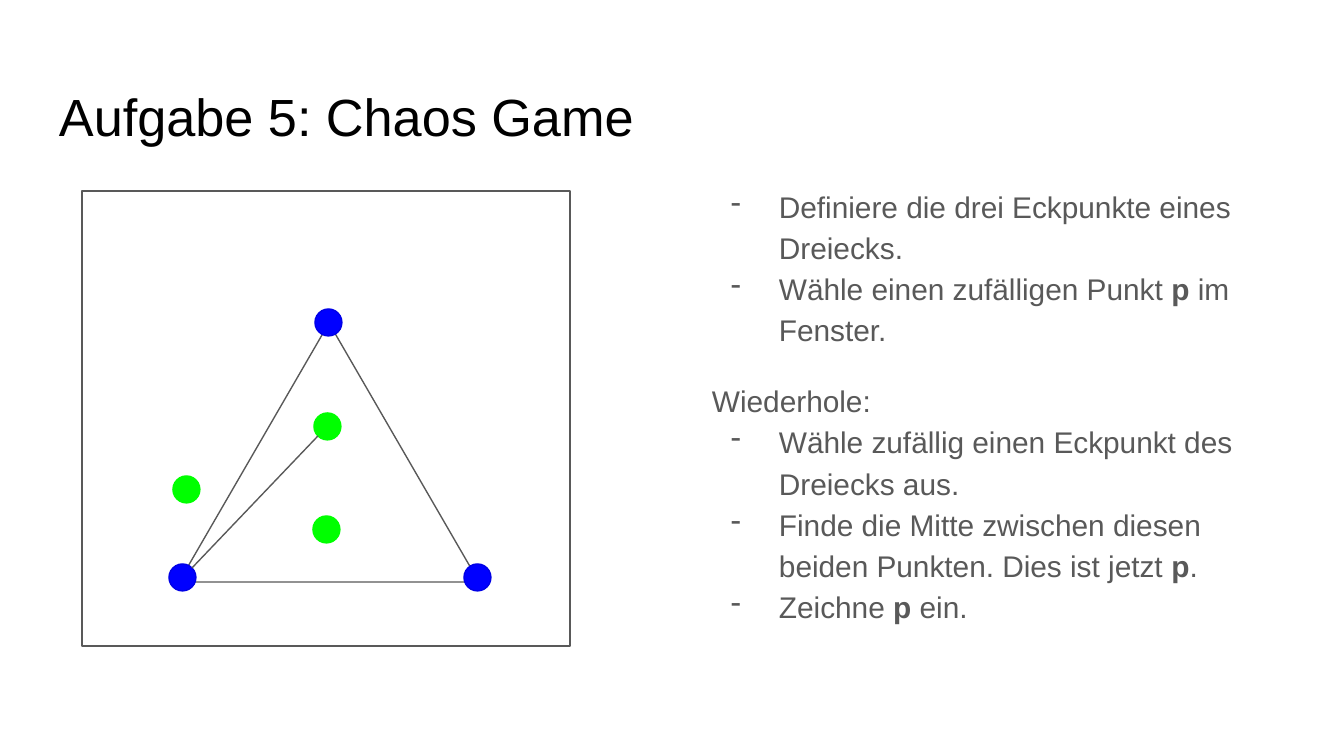
from lxml import etree
from pptx import Presentation
from pptx.dml.color import RGBColor
from pptx.enum.shapes import MSO_CONNECTOR, MSO_SHAPE
from pptx.enum.text import MSO_ANCHOR, PP_ALIGN
from pptx.oxml.ns import qn
from pptx.util import Emu, Pt

RECTANGLE, TRIANGLE, OVAL = (
    MSO_SHAPE.RECTANGLE, MSO_SHAPE.ISOSCELES_TRIANGLE, MSO_SHAPE.OVAL)
STRAIGHT = MSO_CONNECTOR.STRAIGHT
TOP, LEFT = MSO_ANCHOR.TOP, PP_ALIGN.LEFT

PIXEL = 914400 / 134.4
COLORS = {name: RGBColor.from_string(value) for name, value in {
    "title": "000000", "grey": "595959", "corner": "0000FF",
    "corner_edge": "0000E6", "point": "00FF00"}.items()}
INSET = 13
DOT = 27


def px(*lengths):
    """Turn picture pixels into a list of EMU lengths."""
    return [Emu(round(length * PIXEL)) for length in lengths]


def add_outline(kind, box, edge, fill=None):
    """Add a thin-lined shape, filled only when a fill colour is named."""
    shape = slide.shapes.add_shape(kind, *px(*box))
    shape.shadow.inherit = False
    shape.line.color.rgb = COLORS[edge]
    shape.line.width = Pt(0.75)
    if fill:
        shape.fill.solid()
        shape.fill.fore_color.rgb = COLORS[fill]
    else:
        shape.fill.background()


prs = Presentation()
prs.slide_width, prs.slide_height = px(1344, 756)
slide = prs.slides.add_slide(prs.slide_layouts[5])

# Title
title = slide.shapes.title
title.left, title.top, title.width, title.height = px(46, 66, 1252, 85)
heading = title.text_frame
heading.text = "Aufgabe 5: Chaos Game"
heading.vertical_anchor = TOP
heading.margin_left, heading.margin_top, heading.margin_right, heading.margin_bottom = px(
    INSET, 18, INSET, INSET)
heading.paragraphs[0].alignment = LEFT
heading_font = heading.paragraphs[0].font
heading_font.name, heading_font.size = "Arial", Pt(28)
heading_font.color.rgb = COLORS["title"]

# Instructions: (is a list item, text pieces alternating regular and bold)
steps = [
    (True, ["Definiere die drei Eckpunkte eines Dreiecks."]),
    (True, ["Wähle einen zufälligen Punkt ", "p", " im Fenster."]),
    (False, ["Wiederhole:"]),
    (True, ["Wähle zufällig einen Eckpunkt des Dreiecks aus."]),
    (True, ["Finde die Mitte zwischen diesen beiden Punkten. Dies ist jetzt ", "p", "."]),
    (True, ["Zeichne ", "p", " ein."]),
]
instructions = slide.shapes.add_textbox(*px(699, 170, 599, 502)).text_frame
instructions.word_wrap = True
instructions.vertical_anchor = TOP
(instructions.margin_left, instructions.margin_top,
 instructions.margin_right, instructions.margin_bottom) = px(*[INSET] * 4)
hanging, indent = px(67, -48)
for index, (is_item, pieces) in enumerate(steps):
    step = instructions.add_paragraph() if index else instructions.paragraphs[0]
    step.alignment = LEFT
    step.line_spacing = 1.15
    step.space_before = Pt(0 if is_item else 16)
    step.font.name, step.font.size = "Arial", Pt(16)
    step.font.color.rgb = COLORS["grey"]
    for position, piece in enumerate(pieces):
        run = step.add_run()
        run.text = piece
        if position % 2:
            run.font.bold = True
    if is_item:
        properties = step._p.get_or_add_pPr()
        properties.set("marL", str(hanging))
        properties.set("indent", str(indent))
        bullet_color = etree.Element(qn("a:buClr"))
        etree.SubElement(bullet_color, qn("a:srgbClr"), val=str(COLORS["grey"]))
        bullet = etree.Element(qn("a:buChar"), char="-")
        spacing_end = properties.find(qn("a:spcBef"))
        spacing_end.addnext(bullet_color)
        bullet_color.addnext(bullet)

# Window with the triangle, its corners and the random points
add_outline(RECTANGLE, (82, 191, 488, 455), "grey")
add_outline(TRIANGLE, (179, 323, 300, 259), "grey")
for left, top in [(315, 309), (464, 564), (169, 564)]:
    add_outline(OVAL, (left, top, DOT, DOT), "corner_edge", "corner")
for left, top in [(173, 476), (313, 516), (314, 413)]:
    add_outline(OVAL, (left, top, DOT, DOT), "point", "point")

path_to_corner = slide.shapes.add_connector(STRAIGHT, *px(318, 436, 192, 568))
path_to_corner.line.color.rgb = COLORS["grey"]
path_to_corner.line.width = Pt(0.75)
etree.SubElement(path_to_corner._element.spPr, qn("a:effectLst"))

prs.save("out.pptx")
